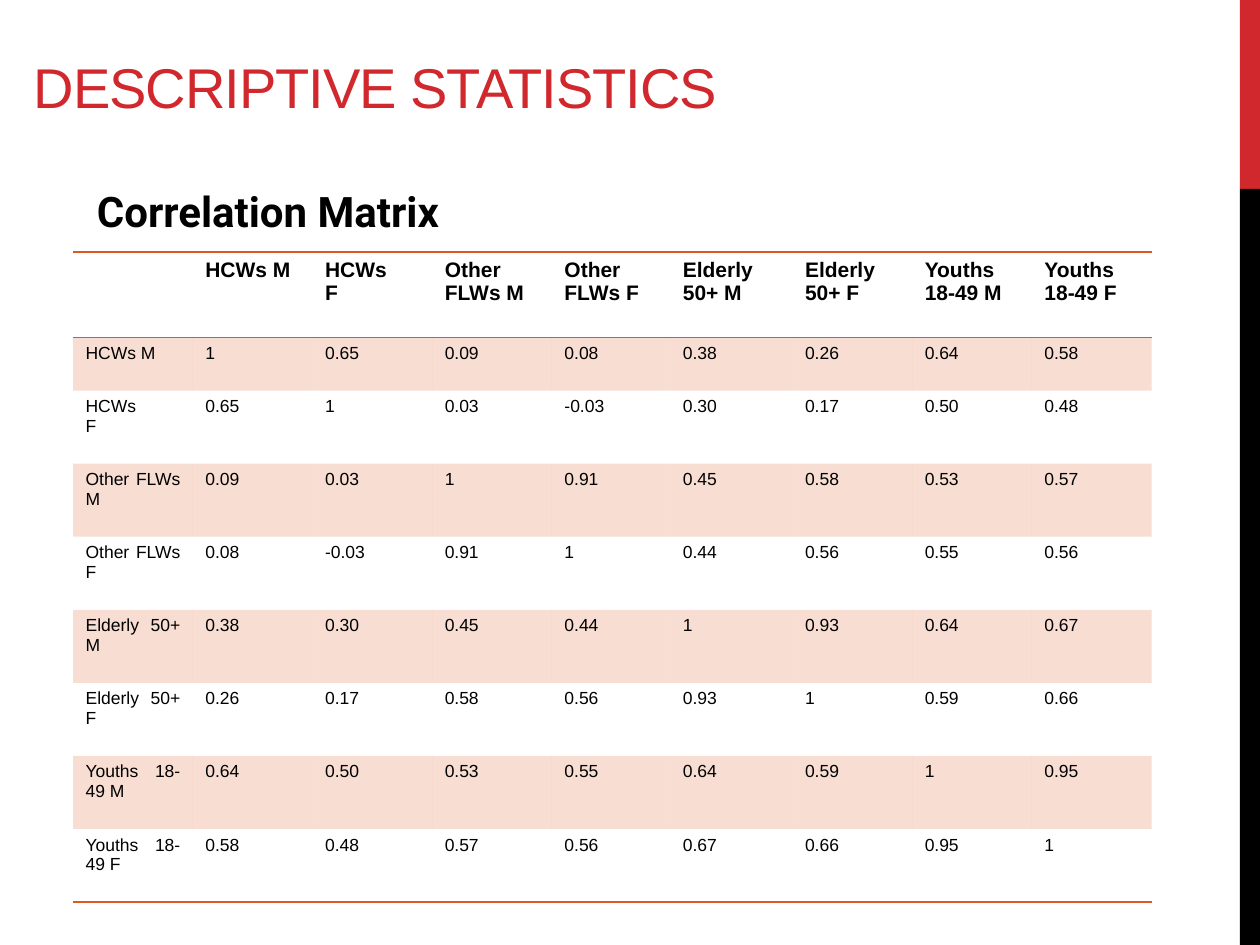
from pptx import Presentation
from pptx.dml.color import RGBColor
from pptx.enum.shapes import MSO_SHAPE as Shape
from pptx.enum.text import MSO_ANCHOR as Anchor, PP_ALIGN as Align
from pptx.oxml import parse_xml
from pptx.oxml.ns import nsdecls, qn
from pptx.util import Inches, Pt
from lxml.etree import SubElement

RED = RGBColor(0xD1, 0x28, 0x2E)
BLACK = RGBColor(0, 0, 0)
RUST = RGBColor(0xDC, 0x59, 0x24)

LABELS = ["HCWs M", "HCWs\nF", "Other FLWs M", "Other FLWs F",
          "Elderly 50+ M", "Elderly 50+ F", "Youths 18-49 M", "Youths 18-49 F"]
LOWER = [
    [],
    ["0.65"],
    ["0.09", "0.03"],
    ["0.08", "-0.03", "0.91"],
    ["0.38", "0.30", "0.45", "0.44"],
    ["0.26", "0.17", "0.58", "0.56", "0.93"],
    ["0.64", "0.50", "0.53", "0.55", "0.64", "0.59"],
    ["0.58", "0.48", "0.57", "0.56", "0.67", "0.66", "0.95"],
]
WIDTHS = [0.95] * 4 + [0.94, 0.97] + [0.95] * 3
HEIGHTS = [0.68, 0.42] + [0.58] * 7


def write(frame, text, size=10, font="Arial", color=BLACK, bold=False, space=0):
    frame.word_wrap = True
    for i, line in enumerate(text.split("\n")):
        para = frame.paragraphs[0] if i == 0 else frame.add_paragraph()
        para.alignment = Align.JUSTIFY
        run = para.add_run()
        run.text = line
        run.font.size = Pt(size)
        run.font.name = font
        run.font.bold = bold
        run.font.color.rgb = color
        if space:
            run.font._element.set("spc", str(space))


def label(slide, box, text, anchor=Anchor.TOP, **form):
    frame = slide.shapes.add_textbox(*map(Inches, box)).text_frame
    frame.vertical_anchor = anchor
    write(frame, text, **form)


def side_bar(slide, left, top, width, height):
    split = height / 5
    for y, tall, color in [(top, split, RED), (top + split, height - split, BLACK)]:
        bar = slide.shapes.add_shape(Shape.RECTANGLE, *map(Inches, (left, y, width, tall)))
        bar.shadow.inherit = False
        bar.fill.solid()
        bar.fill.fore_color.rgb = color
        bar.line.fill.background()


def tint(cell, color, alpha):
    cell.fill.solid()
    cell.fill.fore_color.rgb = color
    tone = cell._tc.tcPr.find(".//" + qn("a:srgbClr"))
    SubElement(tone, qn("a:alpha")).set("val", str(alpha * 1000))


def rule(cell, sides):
    for i, side in enumerate(sides):
        line = parse_xml(
            f'<a:ln{side} {nsdecls("a")} w="12700"><a:solidFill>'
            f'<a:srgbClr val="{RUST}"/></a:solidFill></a:ln{side}>')
        cell._tc.get_or_add_tcPr().insert(i, line)


def value(row, col):
    if row == 0 or col == 0:
        return LABELS[row + col - 1] if row + col else ""
    if row == col:
        return "1"
    return LOWER[max(row, col) - 1][min(row, col) - 1]


def matrix(slide, left, top):
    rows, cols = len(HEIGHTS), len(WIDTHS)
    box = (left, top, sum(WIDTHS), sum(HEIGHTS))
    frame = slide.shapes.add_table(rows, cols, *map(Inches, box))
    grid = frame.table
    style = grid._tbl.tblPr.find(qn("a:tableStyleId"))
    style.text = "{2D5ABB26-0587-4C30-8999-92F81FD0307C}"
    for col, width in zip(grid.columns, WIDTHS):
        col.width = Inches(width)
    for row, height in zip(grid.rows, HEIGHTS):
        row.height = Inches(height)
    for r in range(rows):
        sides = {0: "TB", rows - 1: "B"}.get(r, "")
        for c in range(cols):
            cell = grid.cell(r, c)
            if r % 2:
                tint(cell, RUST, 20)
            else:
                cell.fill.background()
            rule(cell, sides)
            text = value(r, c)
            if text:
                write(cell.text_frame, text, size=10 if r else 12, bold=r == 0)


def build():
    deck = Presentation()
    deck.slide_width, deck.slide_height = Inches(10), Inches(7.5)
    slide = deck.slides.add_slide(deck.slide_layouts[6])
    side_bar(slide, 9.84, 0, 0.16, 7.5)
    label(slide, (0.17, 0.33, 9.17, 0.67), "DESCRIPTIVE STATISTICS",
          anchor=Anchor.BOTTOM, size=32, color=RED, space=-60)
    matrix(slide, 0.58, 2)
    label(slide, (0.67, 1.42, 8.58, 0.5), "Correlation Matrix",
          size=24, font="Roboto", bold=True)
    deck.save("out.pptx")


build()
